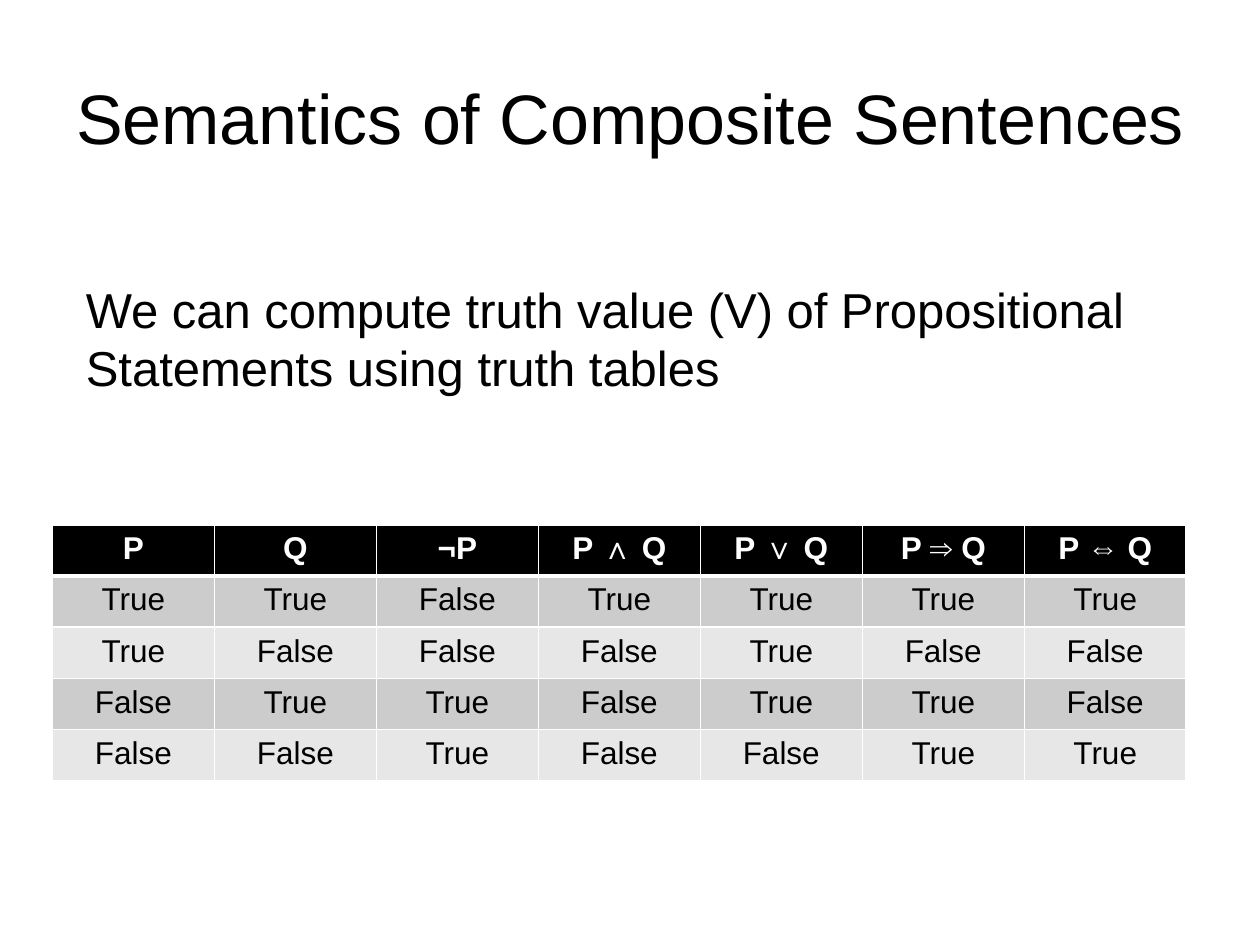
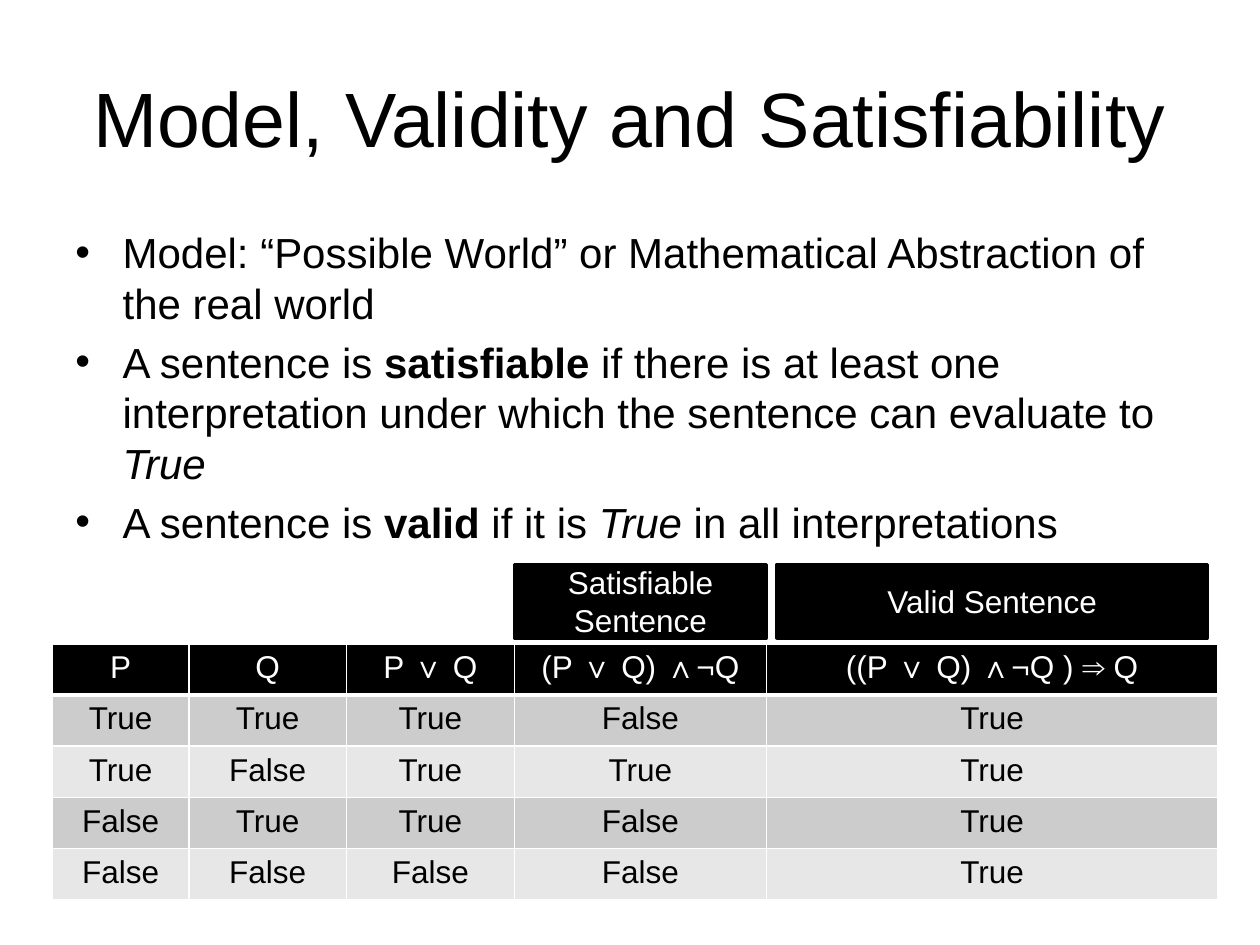
from itertools import product

from lxml.etree import SubElement
from pptx import Presentation
from pptx.dml.color import RGBColor
from pptx.enum.shapes import MSO_SHAPE
from pptx.enum.text import MSO_ANCHOR, PP_ALIGN
from pptx.oxml.ns import qn
from pptx.util import Pt

BLACK = RGBColor(0x00, 0x00, 0x00)
WHITE = RGBColor(0xFF, 0xFF, 0xFF)
DARK_BAND = RGBColor(0xCC, 0xCC, 0xCC)
LIGHT_BAND = RGBColor(0xE7, 0xE7, 0xE7)
FONT = "Arial"
TABLE_LEFT = 30
ROW_HEIGHT = 29.2


def write(frame, *paragraphs, size=18, color=BLACK, bold=False,
          align=PP_ALIGN.LEFT, anchor=MSO_ANCHOR.TOP, bullet=None):
    frame.word_wrap = True
    frame.vertical_anchor = anchor
    for index, runs in enumerate(paragraphs):
        paragraph = frame.add_paragraph() if index else frame.paragraphs[0]
        paragraph.alignment = align
        for words, style in [(runs, "")] if isinstance(runs, str) else runs:
            run = paragraph.add_run()
            run.text = words
            run.font.name = FONT
            run.font.size = Pt(size)
            run.font.color.rgb = color
            run.font.bold = bold or style == "bold"
            run.font.italic = style == "italic"
        if bullet:
            paragraph.space_before = Pt(5)
            properties = paragraph._p.get_or_add_pPr()
            properties.set("marL", str(Pt(27)))
            properties.set("indent", str(-Pt(27)))
            SubElement(properties, qn("a:buFont"), typeface=FONT)
            SubElement(properties, qn("a:buChar"), char=bullet)


def add_truth_table(slide, top, widths, headings, rows, bold_header):
    lines = [headings] + [[str(value) for value in row] for row in rows]
    table = slide.shapes.add_table(
        len(lines), len(widths), Pt(TABLE_LEFT), Pt(top),
        Pt(sum(widths)), Pt(ROW_HEIGHT * len(lines))).table
    for column, width in zip(table.columns, widths):
        column.width = Pt(width)
    for r, line in enumerate(lines):
        for c, words in enumerate(line):
            cell = table.cell(r, c)
            header = r == 0
            write(cell.text_frame, words, color=WHITE if header else BLACK,
                  bold=header and bold_header, align=PP_ALIGN.CENTER)
            for side in ("lnL", "lnR", "lnT", "lnB"):
                thick = (header and side == "lnB") or (r == 1 and side == "lnT")
                border = SubElement(cell._tc.get_or_add_tcPr(), qn(f"a:{side}"),
                                    w=str(Pt(3 if thick else 1)))
                SubElement(SubElement(border, qn("a:solidFill")),
                           qn("a:srgbClr"), val=str(WHITE))
            cell.fill.solid()
            cell.fill.fore_color.rgb = (
                BLACK if header else DARK_BAND if r % 2 else LIGHT_BAND)


deck = Presentation()
deck.slide_width = Pt(720)
deck.slide_height = Pt(540)

slides = []
for title, title_size in (("Semantics of Composite Sentences", 40),
                          ("Model, Validity and Satisfiability", 44)):
    slide = deck.slides.add_slide(deck.slide_layouts[6])
    heading = slide.shapes.add_textbox(Pt(36), Pt(21.6), Pt(648), Pt(90))
    write(heading.text_frame, title, size=title_size,
          align=PP_ALIGN.CENTER, anchor=MSO_ANCHOR.MIDDLE)
    slides.append(slide)
semantics, validity = slides
worlds = list(product((True, False), repeat=2))

add_truth_table(
    semantics, 300, [648 / 7] * 7,
    ["P", "Q", "¬P", "P ∧ Q", "P ∨ Q", "P ⇒ Q", "P ⇔ Q"],
    [(p, q, not p, p and q, p or q, not p or q, p == q) for p, q in worlds],
    bold_header=True)
introduction = semantics.shapes.add_textbox(Pt(42), Pt(156), Pt(642), Pt(75))
write(introduction.text_frame,
      "We can compute truth value (V) of Propositional Statements using truth tables",
      size=28)

definitions = validity.shapes.add_textbox(Pt(36), Pt(126), Pt(648), Pt(356))
write(definitions.text_frame,
      "Model: “Possible World” or Mathematical Abstraction of the real world",
      [("A sentence is ", ""), ("satisfiable ", "bold"),
       ("if there is at least one interpretation under which the sentence "
        "can evaluate to ", ""), ("True", "italic")],
      [("A sentence is ", ""), ("valid ", "bold"), ("if it is ", ""),
       ("True ", "italic"), ("in all interpretations", "")],
      size=24, bullet="•")
add_truth_table(
    validity, 368, [78, 90, 96, 144, 258],
    ["P", "Q", "P ∨ Q", "(P ∨ Q) ∧¬Q", "((P ∨ Q) ∧¬Q ) ⇒ Q"],
    [(p, q, p or q, (p or q) and not q, not ((p or q) and not q) or p)
     for p, q in worlds],
    bold_header=False)
for words, left, width in (("Satisfiable Sentence", 294, 144),
                           ("Valid Sentence", 444, 246)):
    label = validity.shapes.add_shape(
        MSO_SHAPE.RECTANGLE, Pt(left), Pt(322.5), Pt(width), Pt(42))
    label.shadow.inherit = False
    label.fill.solid()
    label.fill.fore_color.rgb = BLACK
    label.line.color.rgb = BLACK
    label.line.width = Pt(2)
    write(label.text_frame, words, color=WHITE,
          align=PP_ALIGN.CENTER, anchor=MSO_ANCHOR.MIDDLE)

deck.save("out.pptx")
